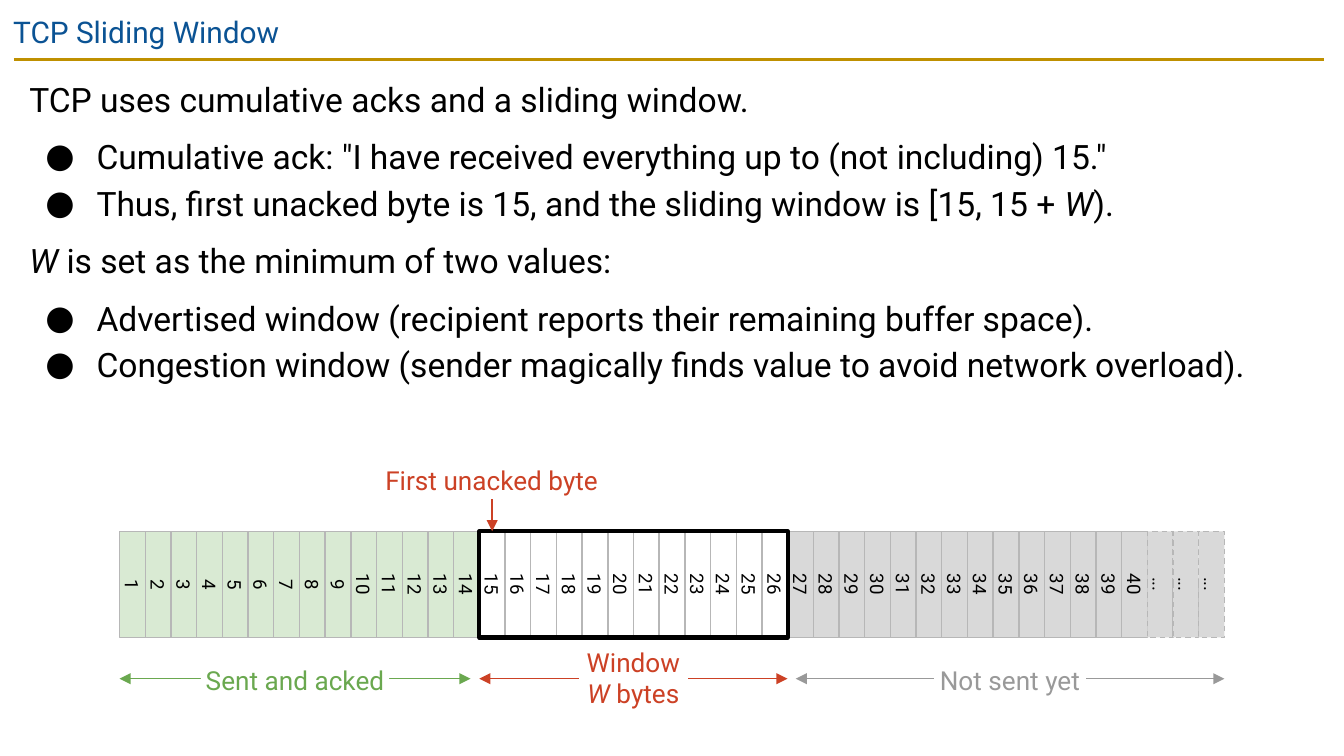
from lxml import etree
from pptx import Presentation
from pptx.dml.color import RGBColor
from pptx.enum.dml import MSO_LINE
from pptx.enum.shapes import MSO_CONNECTOR, MSO_SHAPE
from pptx.enum.text import MSO_ANCHOR, PP_ALIGN
from pptx.oxml.ns import qn
from pptx.util import Inches, Pt

RECTANGLE = MSO_SHAPE.RECTANGLE
STRAIGHT = MSO_CONNECTOR.STRAIGHT
DASH = MSO_LINE.DASH
TOP, MIDDLE = MSO_ANCHOR.TOP, MSO_ANCHOR.MIDDLE
LEFT, CENTER = PP_ALIGN.LEFT, PP_ALIGN.CENTER

deck = Presentation()
deck.slide_width = Inches(10)
deck.slide_height = deck.slide_width * 9 // 16
slide = deck.slides.add_slide(deck.slide_layouts[6])
UNIT = deck.slide_width / 100
color = RGBColor.from_string


def write(shape, lines, size, ink, inset, align=LEFT, anchor=TOP):
    frame = shape.text_frame
    frame.word_wrap = True
    frame.vertical_anchor = anchor
    frame.margin_left = frame.margin_right = int(inset * UNIT)
    frame.margin_top = frame.margin_bottom = int(inset * UNIT)
    for index, line in enumerate(lines):
        paragraph = frame.paragraphs[0] if index == 0 else frame.add_paragraph()
        paragraph.alignment = align
        paragraph.font.size = Pt(size)
        paragraph.font.name = "Roboto"
        paragraph.font.color.rgb = color(ink)
        for part, words in enumerate(line.split("*")):
            if words:
                run = paragraph.add_run()
                run.text = words
                if part % 2:
                    run.font.italic = True
    return frame.paragraphs


def draw_line(shapes, x1, y1, x2, y2, ink, weight, ends=()):
    line = shapes.add_connector(STRAIGHT, *(int(v * UNIT) for v in (x1, y1, x2, y2)))
    line.line.color.rgb = color(ink)
    line.line.width = Pt(weight)
    properties = line._element.spPr
    for end in ends:
        etree.SubElement(properties.find(qn("a:ln")), qn(end), type="triangle")
    etree.SubElement(properties, qn("a:effectLst"))
    return line


draw_line(slide.shapes, 1.03, 4.42, 98.5, 4.42, "BF9000", 1.5)
title = slide.shapes.add_textbox(0, 0, int(93.2 * UNIT), int(4.3 * UNIT))
write(title, ["TCP Sliding Window"], 16, "0B5394", 1)

points = [
    (False, 6, "TCP uses cumulative acks and a sliding window."),
    (True, 6, 'Cumulative ack: "I have received everything up to (not including) 15."'),
    (True, 0, "Thus, first unacked byte is 15, and the sliding window is [15, 15 + *W*)."),
    (False, 6, "*W* is set as the minimum of two values:"),
    (True, 6, "Advertised window (recipient reports their remaining buffer space)."),
    (True, 0, "Congestion window (sender magically finds value to avoid network overload)."),
]
body = slide.shapes.add_textbox(*(int(v * UNIT) for v in (1.2, 4.4, 97.4, 29.2)))
paragraphs = write(body, [text for _, _, text in points], 18, "000000", 1)
for paragraph, (bulleted, gap, _) in zip(paragraphs, points):
    paragraph.line_spacing = 1.15
    paragraph.space_before = Pt(gap)
    if bulleted:
        properties = paragraph._p.get_or_add_pPr()
        properties.set("marL", str(Inches(0.5)))
        properties.set("indent", str(Inches(-0.38)))
        bullet_color = etree.Element(qn("a:buClr"))
        etree.SubElement(bullet_color, qn("a:srgbClr"), val="000000")
        bullet_font = etree.Element(qn("a:buFont"), typeface="Roboto")
        bullet = etree.Element(qn("a:buChar"), char="●")
        for element in (bullet_color, bullet_font, bullet):
            properties.find(qn("a:defRPr")).addprevious(element)

STRIP_LEFT, STRIP_RIGHT, STRIP_TOP, STRIP_HEIGHT = 8.9, 91.1, 39.53, 7.9
ACKED, SENDABLE, NUMBERED, TOTAL = 14, 26, 40, 43
COLUMN = (STRIP_RIGHT - STRIP_LEFT) / TOTAL
MID_Y = STRIP_TOP + STRIP_HEIGHT / 2
window_left = STRIP_LEFT + ACKED * COLUMN
window_right = STRIP_LEFT + SENDABLE * COLUMN

byte_cells = []
for number in range(1, TOTAL + 1):
    center_x = STRIP_LEFT + (number - 0.5) * COLUMN
    box = (center_x - STRIP_HEIGHT / 2, MID_Y - COLUMN / 2, STRIP_HEIGHT, COLUMN)
    cell = slide.shapes.add_shape(RECTANGLE, *(int(v * UNIT) for v in box))
    cell.rotation = 90
    cell.shadow.inherit = False
    cell.line.color.rgb = color("B7B7B7")
    cell.line.width = Pt(0.75)
    if ACKED < number <= SENDABLE:
        cell.fill.background()
    else:
        cell.fill.solid()
        cell.fill.fore_color.rgb = color("D9EAD3" if number <= ACKED else "D9D9D9")
    if number > NUMBERED:
        cell.line.dash_style = DASH
    digits = str(number) if number <= NUMBERED else "..."
    write(cell, [digits], 10, "000000", 1, CENTER, MIDDLE)
    byte_cells.append(cell)

window_width = window_right - window_left
window_x = (window_left + window_right) / 2
box = (window_x - STRIP_HEIGHT / 2, MID_Y - window_width / 2, STRIP_HEIGHT, window_width)
window = slide.shapes.add_shape(RECTANGLE, *(int(v * UNIT) for v in box))
window.rotation = 90
window.shadow.inherit = False
window.fill.background()
window.line.color.rgb = color("000000")
window.line.width = Pt(2.25)

SPAN_Y = 50.5
spans = [
    (STRIP_LEFT, window_left - 0.65, 14, 49.1, 2.9, "6AA84F", ["Sent and acked"]),
    (window_right + 0.6, STRIP_RIGHT, 11.3, 49.1, 2.9, "999999", ["Not sent yet"]),
    (window_left, window_right, 8.1, 47.8, 5.4, "CC4125", ["Window", "*W* bytes"]),
]
for start, end, width, top, height, ink, lines in spans:
    group = slide.shapes.add_group_shape()
    draw_line(group.shapes, start, SPAN_Y, end, SPAN_Y, ink, 0.75, ("a:headEnd", "a:tailEnd"))
    box = ((start + end - width) / 2, top, width, height)
    caption = group.shapes.add_shape(RECTANGLE, *(int(v * UNIT) for v in box))
    caption.shadow.inherit = False
    caption.fill.solid()
    caption.fill.fore_color.rgb = color("FFFFFF")
    caption.line.fill.background()
    write(caption, lines, 14, ink, 0.3, CENTER)

first_x = window_left + COLUMN / 2
box = (first_x - 8.25, 34.24, 16.5, 2.9)
first_unacked = slide.shapes.add_textbox(*(int(v * UNIT) for v in box))
write(first_unacked, ["First unacked byte"], 14, "CC4125", 0.3)
pointer = draw_line(slide.shapes, first_x, STRIP_TOP, first_x, 37.14, "CC4125", 0.75, ("a:headEnd",))
pointer.begin_connect(byte_cells[ACKED], 1)
pointer.end_connect(first_unacked, 2)
pointer.begin_x = pointer.end_x
pointer.begin_y = int(STRIP_TOP * UNIT)

deck.save("out.pptx")
